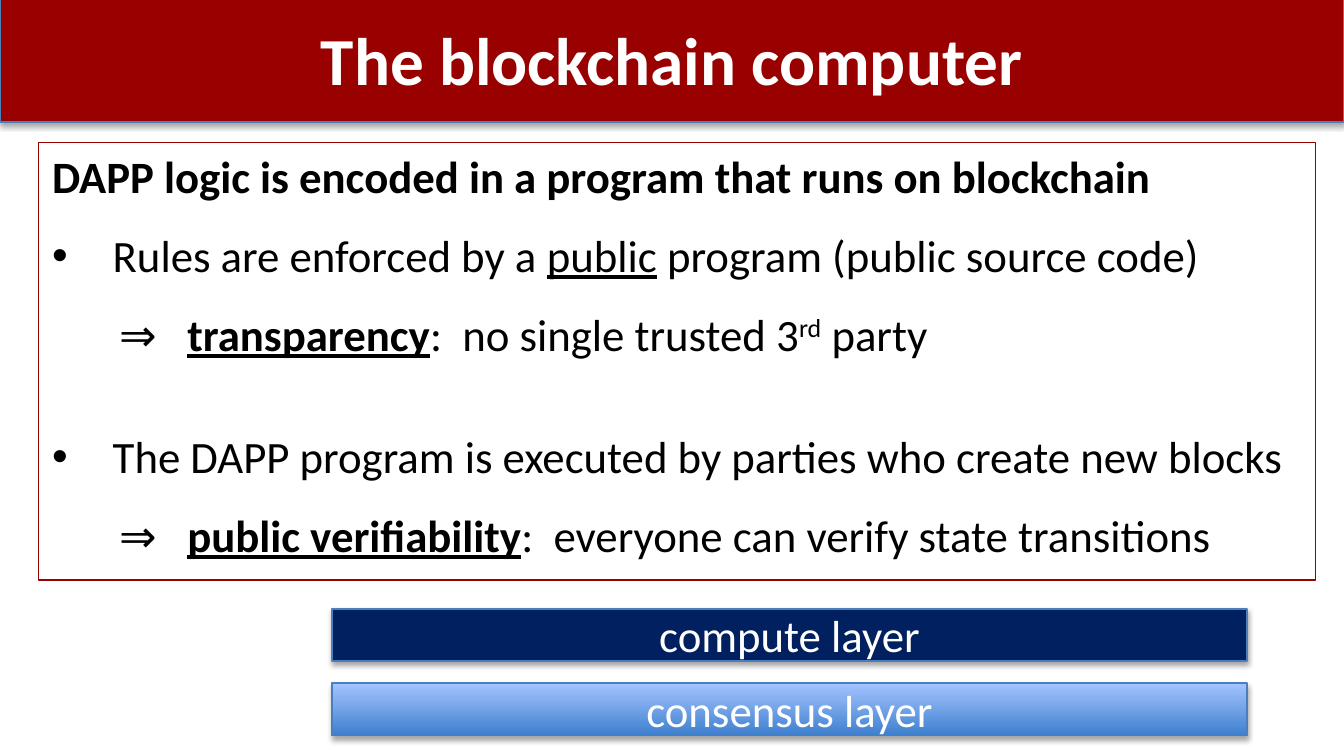
import pptx
import pptx.util
import pptx.dml.color
import pptx.enum.shapes
import pptx.enum.text
import pptx.oxml
import pptx.oxml.ns
from lxml import etree

Pt = pptx.util.Pt
PP = pptx.enum.text.PP_ALIGN
ANCHOR = pptx.enum.text.MSO_ANCHOR
WHITE, BLACK, RED, NAVY, BLUE = "FFFFFF", "000000", "990000", "002060", "4B7EBC"
GRADIENT = ("3F80CE", "A4C4FF")

BOLD = {"bold": True}
UNDER = {"underline": True}
KEY = {"bold": True, "underline": True}
SUPER = {"baseline": 30000}

TITLE = "The blockchain computer"
BODY = [
    ("plain", 0, [("DAPP logic is encoded in a program that runs on blockchain", BOLD)]),
    ("bullet", 4.8, [("Rules are enforced by a ", {}), ("public", UNDER),
                     (" program (public source code)", {})]),
    ("result", 4.8, [("\t⇒\t", {}), ("transparency", KEY),
                     (":  no single trusted 3", {}), ("rd", SUPER), (" party", {})]),
    ("bullet", 28, [("The DAPP program is executed by parties who create new blocks", {})]),
    ("result", 4.8, [("\t⇒\t", {}), ("public verifiability", KEY),
                     (":  everyone can verify state transitions", {})]),
]
LAYERS = [("compute layer", NAVY), ("consensus layer", GRADIENT)]

BULLET_INDENT = 32.5
RESULT_TABS = (36, 72.5)
LAYER_LEFT, LAYER_TOP, LAYER_W, LAYER_H, LAYER_STEP = 177.8, 326.2, 490.3, 28, 39.8


def color(value):
    return pptx.dml.color.RGBColor.from_string(value)


def child(parent, tag, **attrs):
    return etree.SubElement(parent, pptx.oxml.ns.qn(tag), {k: str(v) for k, v in attrs.items()})


def add_box(s, box, fill, line, shadow=False):
    sp = s.shapes.add_shape(pptx.enum.shapes.MSO_SHAPE.RECTANGLE, *map(Pt, box))
    sp.shadow.inherit = False
    if fill is None:
        sp.fill.background()
    elif isinstance(fill, tuple):
        sp.fill.gradient()
        sp.fill.gradient_angle = 90
        for stop, value in zip(sp.fill.gradient_stops, fill):
            stop.color.rgb = color(value)
    else:
        sp.fill.solid()
        sp.fill.fore_color.rgb = color(fill)
    sp.line.color.rgb = color(line)
    sp.line.width = Pt(0.75)
    if shadow:
        effects = sp._element.spPr.find(pptx.oxml.ns.qn("a:effectLst"))
        outer = child(effects, "a:outerShdw", blurRad=Pt(3.1), dist=Pt(1.8),
                      dir=5400000, rotWithShape=0)
        child(child(outer, "a:srgbClr", val=BLACK), "a:alpha", val=35000)
    return sp


def set_frame(sp, wrap, anchor):
    tf = sp.text_frame
    for name, value in {"word_wrap": wrap, "vertical_anchor": anchor}.items():
        setattr(tf, name, value)
    return tf


def add_run(p, text, size, ink, formats):
    r = p.add_run()
    r.text = text
    r.font.color.rgb = color(ink)
    for name, value in {"name": "Calibri", "size": Pt(size), **formats}.items():
        if name == "baseline":
            r._r.get_or_add_rPr().set(name, str(value))
        else:
            setattr(r.font, name, value)


def add_label(sp, text, size, formats, wrap, anchor):
    p = set_frame(sp, wrap, anchor).paragraphs[0]
    p.alignment = PP.CENTER
    add_run(p, text, size, WHITE, formats)


def style_paragraph(p, kind, before):
    pPr = p._p.get_or_add_pPr()
    if kind == "bullet":
        pPr.set("marL", str(Pt(BULLET_INDENT)))
        pPr.set("indent", str(-Pt(BULLET_INDENT)))
        child(pPr, "a:buFont", typeface="Arial")
        child(pPr, "a:buChar", char="•")
    elif kind == "result":
        tabs = child(pPr, "a:tabLst")
        for pos in RESULT_TABS:
            child(tabs, "a:tab", pos=Pt(pos), algn="l")
    p.alignment = PP.LEFT
    p.space_before = Pt(before)
    if kind != "plain":
        p.line_spacing = 1.3


def main():
    prs = pptx.Presentation()
    prs.slide_width, prs.slide_height = Pt(720), Pt(405)
    s = prs.slides.add_slide(prs.slide_layouts[6])

    add_box(s, (0, -0.5, 720, 66), RED, BLUE, shadow=True)
    title = s.shapes.add_textbox(Pt(36), Pt(6.5), Pt(648), Pt(49))
    add_label(title, TITLE, 36, BOLD, True, ANCHOR.TOP)

    body = add_box(s, (20.8, 76.3, 684, 234.5), None, RED)
    tf = set_frame(body, True, ANCHOR.TOP)
    for i, (kind, before, runs) in enumerate(BODY):
        p = tf.add_paragraph() if i else tf.paragraphs[0]
        style_paragraph(p, kind, before)
        for text, formats in runs:
            add_run(p, text, 24, BLACK, formats)

    for i, (text, fill) in enumerate(LAYERS):
        box = (LAYER_LEFT, LAYER_TOP + i * LAYER_STEP, LAYER_W, LAYER_H)
        add_label(add_box(s, box, fill, BLUE, shadow=True), text, 24, {}, True, ANCHOR.MIDDLE)

    prs.save("out.pptx")


if __name__ == "__main__":
    main()
